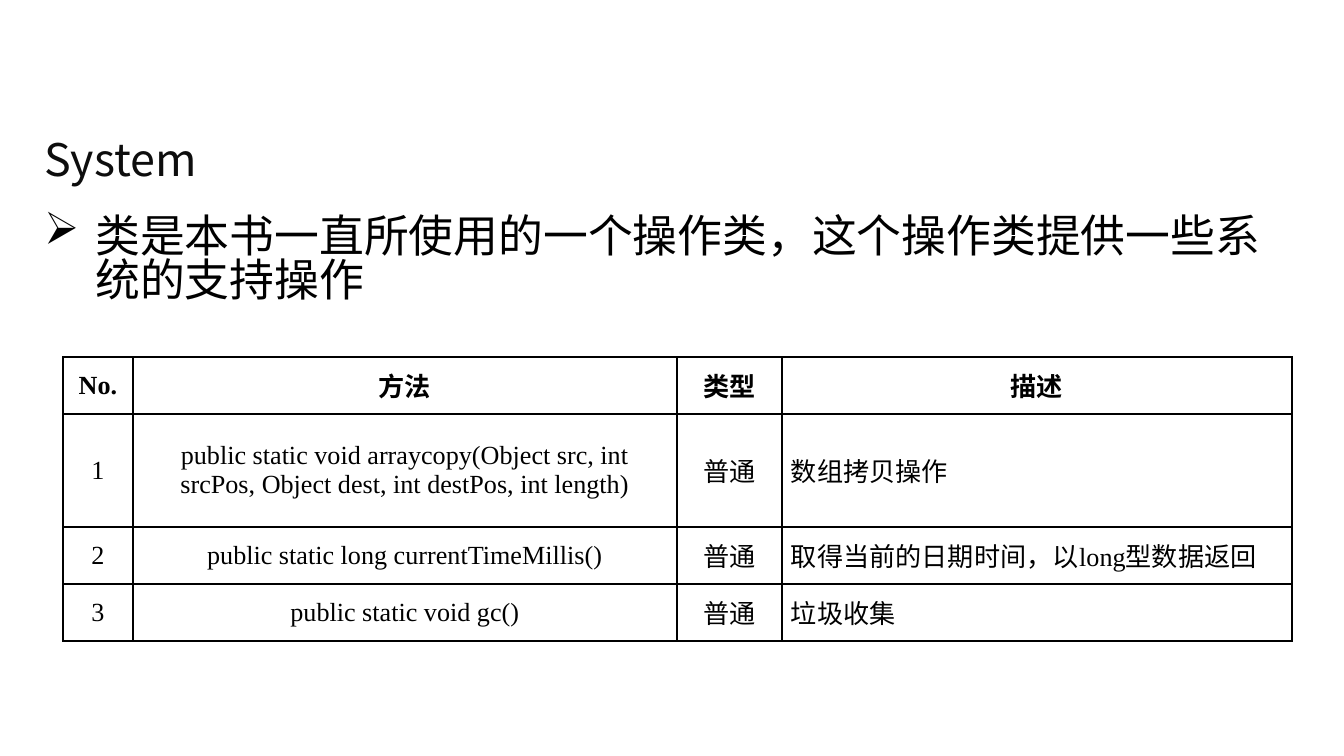
from pptx import Presentation
from pptx.dml.color import RGBColor
from pptx.enum import text
from pptx.oxml import parse_xml
from pptx.oxml.ns import nsdecls
from pptx.util import Pt

PX = 914400 / 134.4
THEME = {
    "sans": "Noto Sans CJK SC", "serif": "Times New Roman",
    "title": RGBColor(0x0D, 0x0D, 0x0D), "ink": RGBColor(0, 0, 0),
    "heading": Pt(24), "cell": Pt(14),
}
ALIGN = text.PP_ALIGN


def px(n):
    return round(n * PX)


def add_run(p, words, **font):
    r = p.add_run()
    r.text = words
    color = font.pop("color", THEME["ink"])
    for name, value in font.items():
        setattr(r.font, name, value)
    r.font.color.rgb = color
    # East Asian typeface follows the latin one
    r.font._element.find("{*}latin").addnext(
        parse_xml(f'<a:ea {nsdecls("a")} typeface="{THEME["sans"]}"/>'))


prs = Presentation()
prs.slide_width, prs.slide_height = px(1344), px(756)
s = prs.slides.add_slide(prs.slide_layouts[6])

# Title
tf = s.shapes.add_textbox(px(31), px(116), px(1281), px(86)).text_frame
tf.word_wrap = True
tf.vertical_anchor = text.MSO_ANCHOR.MIDDLE
add_run(tf.paragraphs[0], "System", name=THEME["sans"], size=THEME["heading"], color=THEME["title"])

# Bulleted statement
tf = s.shapes.add_textbox(px(31), px(210), px(1281), px(473)).text_frame
tf.word_wrap = True
p = tf.paragraphs[0]
p.line_spacing = 0.83
pPr = p._p.get_or_add_pPr()
pPr.set("marL", str(px(51)))
pPr.set("indent", str(-px(51)))
pPr.append(parse_xml(f'<a:buChar {nsdecls("a")} char="➢"/>'))
add_run(p, "类是本书一直所使用的一个操作类，这个操作类提供一些系统的支持操作",
        name=THEME["sans"], size=THEME["heading"])

# Method table
rows = [
    ("No.", "方法", "类型", "描述"),
    ("1", "public static void arraycopy(Object src, int srcPos, Object dest, int destPos, int length)",
     "普通", "数组拷贝操作"),
    ("2", "public static long currentTimeMillis()", "普通", "取得当前的日期时间，以long型数据返回"),
    ("3", "public static void gc()", "普通", "垃圾收集"),
]
widths, heights = (70, 544, 105, 510), (57, 113, 57, 57)
table = s.shapes.add_table(len(rows), len(widths), px(63), px(357),
                           px(sum(widths)), px(sum(heights))).table
for column, width in zip(table.columns, widths):
    column.width = px(width)
for row, height in zip(table.rows, heights):
    row.height = px(height)

cell_format = {
    "vertical_anchor": text.MSO_ANCHOR.MIDDLE,
    "margin_left": px(9), "margin_right": px(9), "margin_top": 0, "margin_bottom": 0,
}
for i, row in enumerate(rows):
    for j, words in enumerate(row):
        cell = table.cell(i, j)
        for name, value in cell_format.items():
            setattr(cell, name, value)
        p = cell.text_frame.paragraphs[0]
        p.alignment = ALIGN.JUSTIFY if i and j == 3 else ALIGN.CENTER
        add_run(p, words, name=THEME["serif"], size=THEME["cell"], bold=i == 0)
        # Borders come before the fill in the cell properties
        tcPr = cell._tc.get_or_add_tcPr()
        for side in ("lnL", "lnR", "lnT", "lnB"):
            tcPr.append(parse_xml(
                f'<a:{side} {nsdecls("a")} w="{Pt(1)}"><a:solidFill>'
                f'<a:srgbClr val="{THEME["ink"]}"/></a:solidFill></a:{side}>'))
        cell.fill.background()

prs.save("out.pptx")
